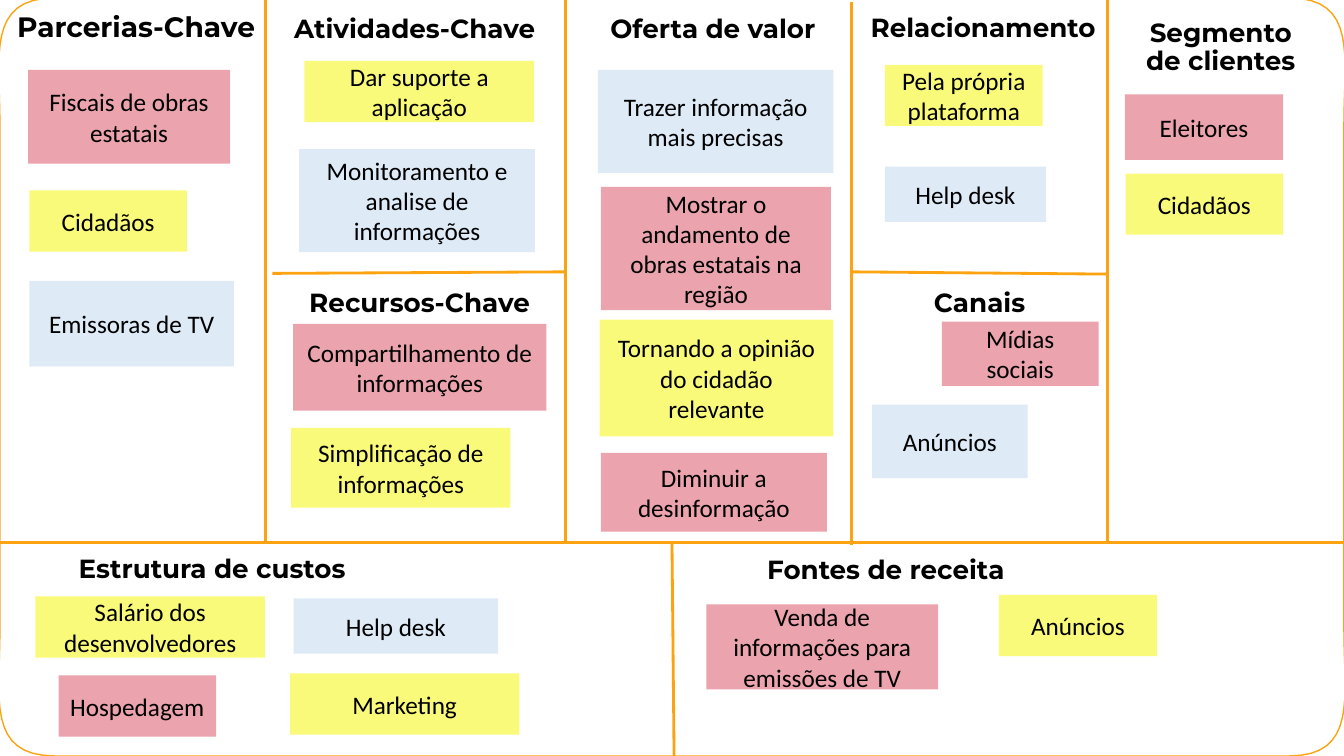
from lxml.etree import SubElement
from pptx import Presentation
from pptx.dml.color import RGBColor
from pptx.enum.shapes import MSO_CONNECTOR, MSO_SHAPE
from pptx.enum.text import MSO_ANCHOR, PP_ALIGN
from pptx.oxml.ns import qn
from pptx.util import Pt

COLORS = {
    "line": "FCA311", "text": "000000",
    "pink": "EBA3AD", "yellow": "FAFA7A", "blue": "DEEBF7",
}
WIDTH, HEIGHT = 960, 540
FRAME_TOP = -1.5
CURVE_STEPS = 16

# Heading: text, left, top, width
HEADINGS = [
    ("Atividades-Chave", 178.5, 2, 235.5),
    ("Recursos-Chave", 195, 197.5, 209.5),
    ("Oferta de valor", 417.5, 2, 183.5),
    ("Relacionamento", 600, 1.2, 204.5),
    ("Canais", 651.5, 198, 96.5),
    ("Segmento de clientes", 800, 4.5, 144),
    ("Estrutura de custos", 28.8, 387.5, 245.5),
    ("Fontes de receita", 510, 388, 245.5),
]

# Divider: start x, start y, end x, end y
DIVIDERS = [
    (189.5, -1.5, 189.5, 387.5),
    (404, 0, 404, 388.5),
    (608.5, 1.5, 608.5, 389.5),
    (791, 0, 791, 388),
    (404, 194.2, 194.5, 195.3),
    (791, 195.8, 608.5, 194.2),
    (960, 387.5, 0, 387.5),
    (480, 387.5, 481.5, 540),
]

# Note: text, color, left, top, width, height
NOTES = [
    # Partners
    ("Fiscais de obras estatais", "pink", 20, 50, 144.3, 67),
    ("Cidadãos", "yellow", 21, 136, 112.5, 43.7),
    ("Emissoras de TV", "blue", 21, 200.7, 146, 61),
    # Activities and resources
    ("Dar suporte a aplicação", "yellow", 217.5, 43.5, 164, 43.7),
    ("Monitoramento e analise de informações", "blue", 213.7, 106.5, 168.5, 73.7),
    ("Compartilhamento de informações", "pink", 209.3, 231.3, 181, 62),
    ("Simplificação de informações", "yellow", 208, 305.7, 156.5, 57),
    # Value offer
    ("Trazer informação mais precisas", "blue", 427, 50, 168.3, 73.7),
    ("Mostrar o andamento de obras estatais na região", "pink", 429.3, 133.5, 164.3, 88),
    ("Tornando a opinião do cidadão relevante", "yellow", 428.3, 228.3, 167, 83.5),
    ("Diminuir a desinformação", "pink", 429.3, 323.5, 161.3, 56.3),
    # Relationship and channels
    ("Pela própria plataforma", "yellow", 632, 46.3, 112.8, 43.7),
    ("Help desk", "blue", 632, 119, 115.3, 39.5),
    ("Mídias sociais", "pink", 672.7, 229.7, 112, 46),
    ("Anúncios", "blue", 623, 289, 111, 52.5),
    # Customers
    ("Eleitores", "pink", 803.5, 67.5, 113, 46.7),
    ("Cidadãos", "yellow", 804, 124, 112.5, 43.7),
    # Costs
    ("Salário dos desenvolvedores", "yellow", 25.3, 426, 164, 43.7),
    ("Help desk", "blue", 209.7, 427.5, 146.2, 39.5),
    ("Hospedagem", "pink", 41.8, 482.5, 112.5, 43.7),
    ("Marketing", "yellow", 207, 481, 164, 43.7),
    # Income
    ("Venda de informações para emissões de TV", "pink", 504.5, 431.7, 165.7, 60.7),
    ("Anúncios", "yellow", 713.5, 425, 113, 43.7),
]


def color(name):
    return RGBColor.from_string(COLORS[name])


def write_text(frame, text, *, font, size, bold=False, inset=(7.2, 3.6),
               anchor=MSO_ANCHOR.TOP, spacing=None):
    frame.word_wrap = True
    frame.vertical_anchor = anchor
    frame.margin_left = frame.margin_right = Pt(inset[0])
    frame.margin_top = frame.margin_bottom = Pt(inset[1])
    para = frame.paragraphs[0]
    para.alignment = PP_ALIGN.CENTER
    para.line_spacing = spacing
    span = para.add_run()
    span.text = text
    span.font.name = font
    span.font.size = Pt(size)
    span.font.bold = bold
    span.font.color.rgb = color("text")


def add_heading(page, text, left, top, width, size=18.7):
    box = page.shapes.add_textbox(Pt(left), Pt(top), Pt(width), Pt(34.5))
    write_text(box.text_frame, text, font="Montserrat", size=size, bold=True,
               inset=(9.4, 9.4), spacing=0.9)


def add_note(page, text, fill, left, top, width, height):
    note = page.shapes.add_shape(MSO_SHAPE.RECTANGLE, Pt(left), Pt(top), Pt(width), Pt(height))
    note.shadow.inherit = False
    note.fill.solid()
    note.fill.fore_color.rgb = color(fill)
    note.line.fill.background()
    write_text(note.text_frame, text, font="Calibri", size=18, anchor=MSO_ANCHOR.MIDDLE)


def add_divider(page, *ends):
    divider = page.shapes.add_connector(MSO_CONNECTOR.STRAIGHT, *[Pt(end) for end in ends])
    divider.line.color.rgb = color("line")
    divider.line.width = Pt(2)
    SubElement(divider.element.spPr, qn("a:effectLst"))


def corner_points(x, y, across, down):
    """Points along a rounded corner, from its vertical to its horizontal side."""
    controls = [(0, 90), (0, 42), (-10, 0), (39.5, 0)]
    points = []
    for step in range(CURVE_STEPS + 1):
        t = step / CURVE_STEPS
        weights = [(1 - t) ** 3, 3 * t * (1 - t) ** 2, 3 * t * t * (1 - t), t ** 3]
        dx = sum(weight * control[0] for weight, control in zip(weights, controls))
        dy = sum(weight * control[1] for weight, control in zip(weights, controls))
        points.append((Pt(x + across * dx), Pt(y + down * dy)))
    return points


def add_frame(page):
    points = (corner_points(0, FRAME_TOP, 1, 1)
              + corner_points(WIDTH, FRAME_TOP, -1, 1)[::-1]
              + corner_points(WIDTH, HEIGHT, -1, -1)
              + corner_points(0, HEIGHT, 1, -1)[::-1])
    builder = page.shapes.build_freeform(*points[0])
    builder.add_line_segments(points[1:], close=True)
    frame = builder.convert_to_shape()
    frame.shadow.inherit = False
    frame.fill.background()
    frame.line.color.rgb = color("line")
    frame.line.width = Pt(1)


def main():
    deck = Presentation()
    deck.slide_width, deck.slide_height = Pt(WIDTH), Pt(HEIGHT)
    page = deck.slides.add_slide(deck.slide_layouts[6])

    # Canvas grid
    add_frame(page)
    for divider in DIVIDERS:
        add_divider(page, *divider)

    # Section headings
    add_heading(page, "Parcerias-Chave", -13, 0, 220.5, size=20)
    for heading in HEADINGS:
        add_heading(page, *heading)

    # Sticky notes
    for note in NOTES:
        add_note(page, *note)

    deck.save("out.pptx")


if __name__ == "__main__":
    main()
